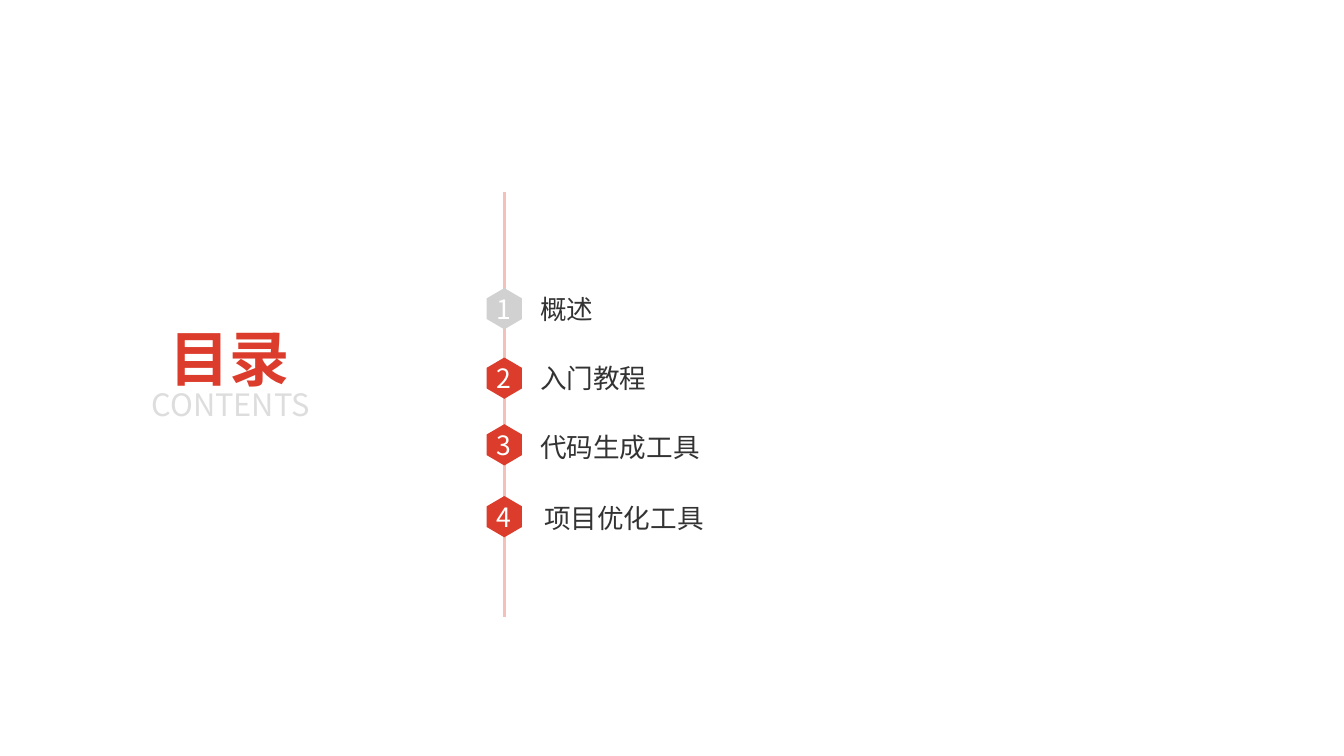
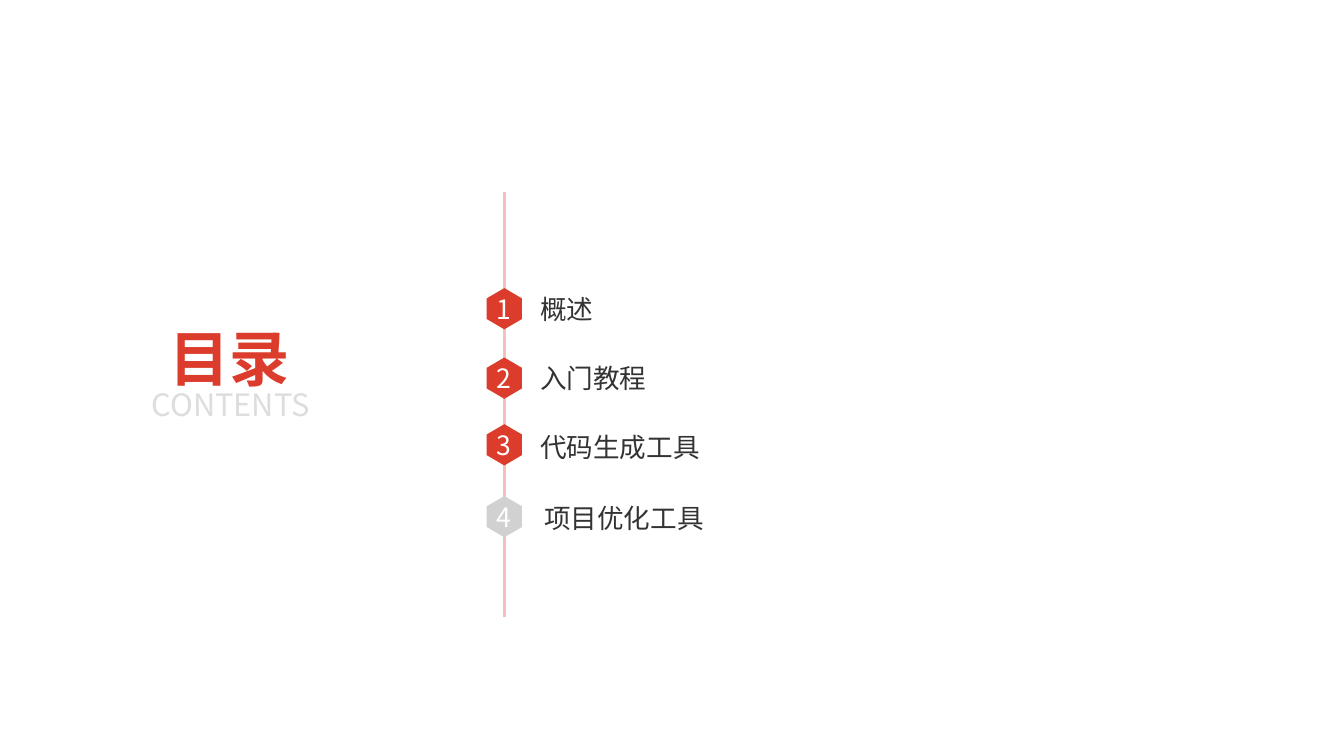
"""Build two contents slides, each with one chapter number greyed out."""
from lxml.etree import SubElement
from pptx import Presentation
from pptx.dml.color import RGBColor
from pptx.enum.shapes import MSO_CONNECTOR
from pptx.enum.text import MSO_ANCHOR as ANCHOR, PP_ALIGN as ALIGN
from pptx.oxml.ns import qn
from pptx.util import Cm, Pt

FONT = "Noto Sans CJK SC"
RED, PINK, GREY = "DC3C2B", "F4C0BA", "D1D1D1"
PALE, DARK, WHITE = "DDDDDD", "333333", "FFFFFF"
AXIS_X = 12.71
HEX_W, HEX_H = 0.89, 1.04
LABEL_W, LABEL_H = 10.26, 1.17
CHAPTERS = [
    ("概述", 7.26, 7.19, 13.49),
    ("入门教程", 9.01, 8.94, 13.49),
    ("代码生成工具", 10.69, 10.67, 13.49),
    ("项目优化工具", 12.5, 12.47, 13.59),
]


def color(value):
    """Turn a hex string into a colour."""
    return RGBColor.from_string(value)


def write(sp, text, size, fill, align=ALIGN.CENTER, bold=False):
    """Put one formatted line of text into a shape."""
    tf = sp.text_frame
    tf.text = text
    tf.word_wrap = True
    tf.vertical_anchor = ANCHOR.MIDDLE
    tf.margin_left = tf.margin_right = Cm(0.13)
    tf.margin_top = tf.margin_bottom = Cm(0.13)
    p = tf.paragraphs[0]
    p.alignment = align
    r = p.runs[0]
    r.font.size = Pt(size)
    r.font.bold = bold
    r.font.color.rgb = color(fill)
    r.font.name = FONT
    SubElement(r.font._element, qn("a:ea"), typeface=FONT)


def add_text(s, box, *args, **kwargs):
    """Add a text box at left, top, width and height in centimetres."""
    write(s.shapes.add_textbox(*map(Cm, box)), *args, **kwargs)


def add_axis(s, top, bottom):
    """Draw the vertical line that joins the chapter numbers."""
    line = s.shapes.add_connector(
        MSO_CONNECTOR.STRAIGHT, Cm(AXIS_X), Cm(top), Cm(AXIS_X), Cm(bottom))
    line.line.color.rgb = color(PINK)
    line.line.width = Pt(2)
    SubElement(line._element.spPr, qn("a:effectLst"))


def add_hexagon(s, number, top, fill):
    """Draw a pointed-top hexagon on the axis with its number."""
    left, right = AXIS_X - HEX_W / 2, AXIS_X + HEX_W / 2
    upper, lower = top + HEX_H / 4, top + HEX_H * 3 / 4
    points = [(right, upper), (right, lower), (AXIS_X, top + HEX_H),
              (left, lower), (left, upper)]
    builder = s.shapes.build_freeform(Cm(AXIS_X), Cm(top))
    builder.add_line_segments([(Cm(x), Cm(y)) for x, y in points], close=True)
    sp = builder.convert_to_shape()
    sp.shadow.inherit = False
    sp.fill.solid()
    sp.fill.fore_color.rgb = color(fill)
    sp.line.fill.background()
    write(sp, str(number), 19, WHITE)


def add_contents(prs, current):
    """Add a contents slide with the current chapter number in grey."""
    s = prs.slides.add_slide(prs.slide_layouts[6])
    add_axis(s, 4.85, 15.54)
    add_text(s, (4.11, 7.8, 3.33, 2.41), "目录", 43, RED, bold=True)
    add_text(s, (3.18, 9.6, 5.26, 1.17), "CONTENTS", 22, PALE)
    for number, (label, hex_top, label_top, left) in enumerate(CHAPTERS, 1):
        add_hexagon(s, number, hex_top, GREY if number == current else RED)
        add_text(s, (left, label_top, LABEL_W, LABEL_H), label, 19, DARK,
                 align=ALIGN.LEFT)


def main():
    """Build and save the presentation."""
    prs = Presentation()
    prs.slide_width, prs.slide_height = Cm(33.87), Cm(19.05)
    for current in (1, 4):
        add_contents(prs, current)
    prs.save("out.pptx")


if __name__ == "__main__":
    main()
